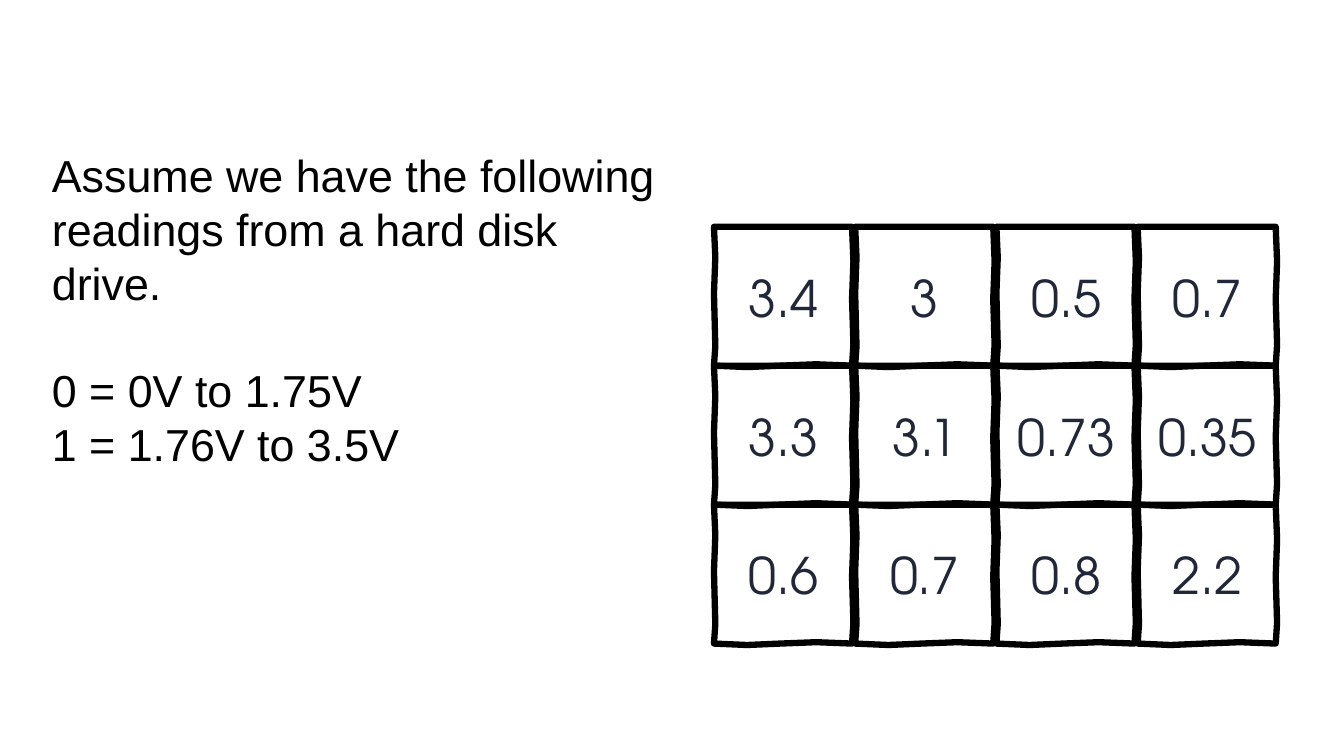
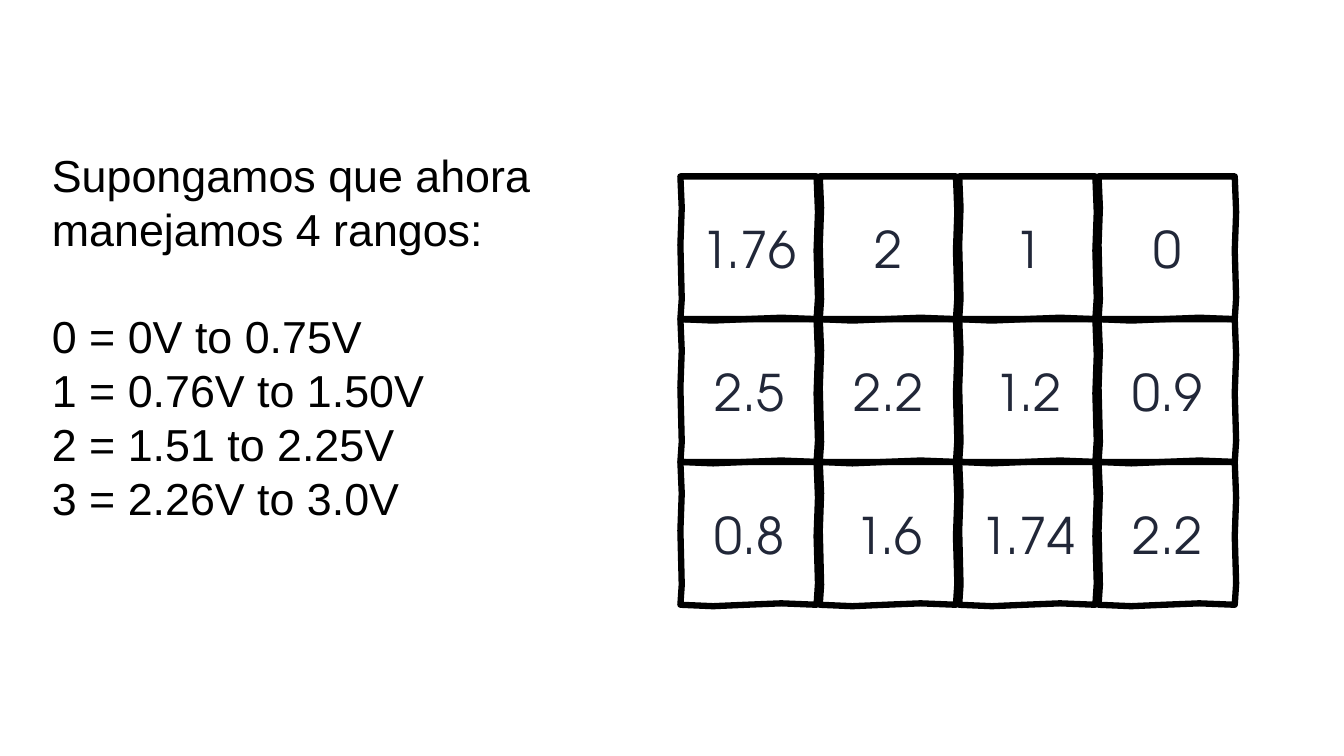
import pptx
import pptx.dml.color
import pptx.enum.text
import pptx.util
from dataclasses import dataclass

PX = 9525
ALIGN = pptx.enum.text.PP_ALIGN
ANCHOR = pptx.enum.text.MSO_ANCHOR


@dataclass(frozen=True)
class Theme:
    line: str = "000000"
    line_width: float = 4.5
    body_color: str = "000000"
    body_font: str = "Arial"
    body_size: int = 32
    body_leading: float = 38.4
    cell_color: str = "212738"
    cell_font: str = "TeX Gyre Adventor"
    cell_size: int = 36


WOBBLY_OUTLINE = [
    (0, 0), (1, 0),
    (1.01, 0.25), (1, 0.52), (1.01, 0.85), (1, 1),
    (0.74, 0.99), (0.48, 1), (0.24, 1.01), (0, 1),
    (0.01, 0.86), (0, 0.48), (0.01, 0.22),
]


def px(n):
    return pptx.util.Emu(round(n * PX))


def rgb(value):
    return pptx.dml.color.RGBColor.from_string(value)


def set_all(target, values):
    for name, value in values.items():
        setattr(target, name, value)


class Deck:
    def __init__(self, theme):
        self.theme = theme
        self.prs = pptx.Presentation()
        set_all(self.prs, {"slide_width": px(1280), "slide_height": px(720)})

    def slide(self):
        self.s = self.prs.slides.add_slide(self.prs.slide_layouts[6])

    def run(self, p, text, font, size, color):
        r = p.add_run()
        r.text = text
        set_all(r.font, {"name": font, "size": pptx.util.Pt(size)})
        r.font.color.rgb = rgb(color)

    def body(self, x, y, w, h, intro, ranges):
        th = self.theme
        tf = self.s.shapes.add_textbox(px(x), px(y), px(w), px(h)).text_frame
        tf.word_wrap = True
        leading = pptx.util.Pt(th.body_leading)
        for i, text in enumerate([intro] + ranges):
            p = tf.paragraphs[0] if i == 0 else tf.add_paragraph()
            gap = leading if i == 1 else 0
            set_all(p, {"line_spacing": leading, "space_before": gap})
            self.run(p, text, th.body_font, th.body_size, th.body_color)

    def cell(self, x, y, w, h, text):
        th = self.theme
        start, *rest = [(px(x + u * w), px(y + v * h)) for u, v in WOBBLY_OUTLINE]
        builder = self.s.shapes.build_freeform(*start)
        builder.add_line_segments(rest, close=True)
        sp = builder.convert_to_shape()
        sp.shadow.inherit = False
        sp.fill.background()
        sp.line.color.rgb = rgb(th.line)
        sp.line.width = pptx.util.Pt(th.line_width)
        tf = sp.text_frame
        set_all(tf, {"word_wrap": False, "vertical_anchor": ANCHOR.MIDDLE})
        p = tf.paragraphs[0]
        p.alignment = ALIGN.CENTER
        self.run(p, text, th.cell_font, th.cell_size, th.cell_color)

    def grid(self, x, y, w, h, rows, gap=3):
        step_x = (w + gap) / len(rows[0])
        step_y = h / len(rows)
        for i, row in enumerate(rows):
            for j, text in enumerate(row):
                self.cell(x + j * step_x, y + i * step_y, step_x - gap, step_y, text)


def main():
    deck = Deck(Theme())

    deck.slide()
    deck.body(
        40, 136, 600, 320,
        "Assume we have the following readings from a hard disk drive.",
        ["0 = 0V to 1.75V", "1 = 1.76V to 3.5V"],
    )
    deck.grid(680, 216, 535, 397, [
        ["3.4", "3", "0.5", "0.7"],
        ["3.3", "3.1", "0.73", "0.35"],
        ["0.6", "0.7", "0.8", "2.2"],
    ])

    deck.slide()
    deck.grid(648, 168, 528, 408, [
        ["1.76", "2", "1", "0"],
        ["2.5", "2.2", "1.2", "0.9"],
        ["0.8", "1.6", "1.74", "2.2"],
    ])
    deck.body(
        40, 136, 544, 372,
        "Supongamos que ahora manejamos 4 rangos:",
        ["0 = 0V to 0.75V", "1 = 0.76V to 1.50V", "2 = 1.51 to 2.25V", "3 = 2.26V to 3.0V"],
    )

    deck.prs.save("out.pptx")


if __name__ == "__main__":
    main()
